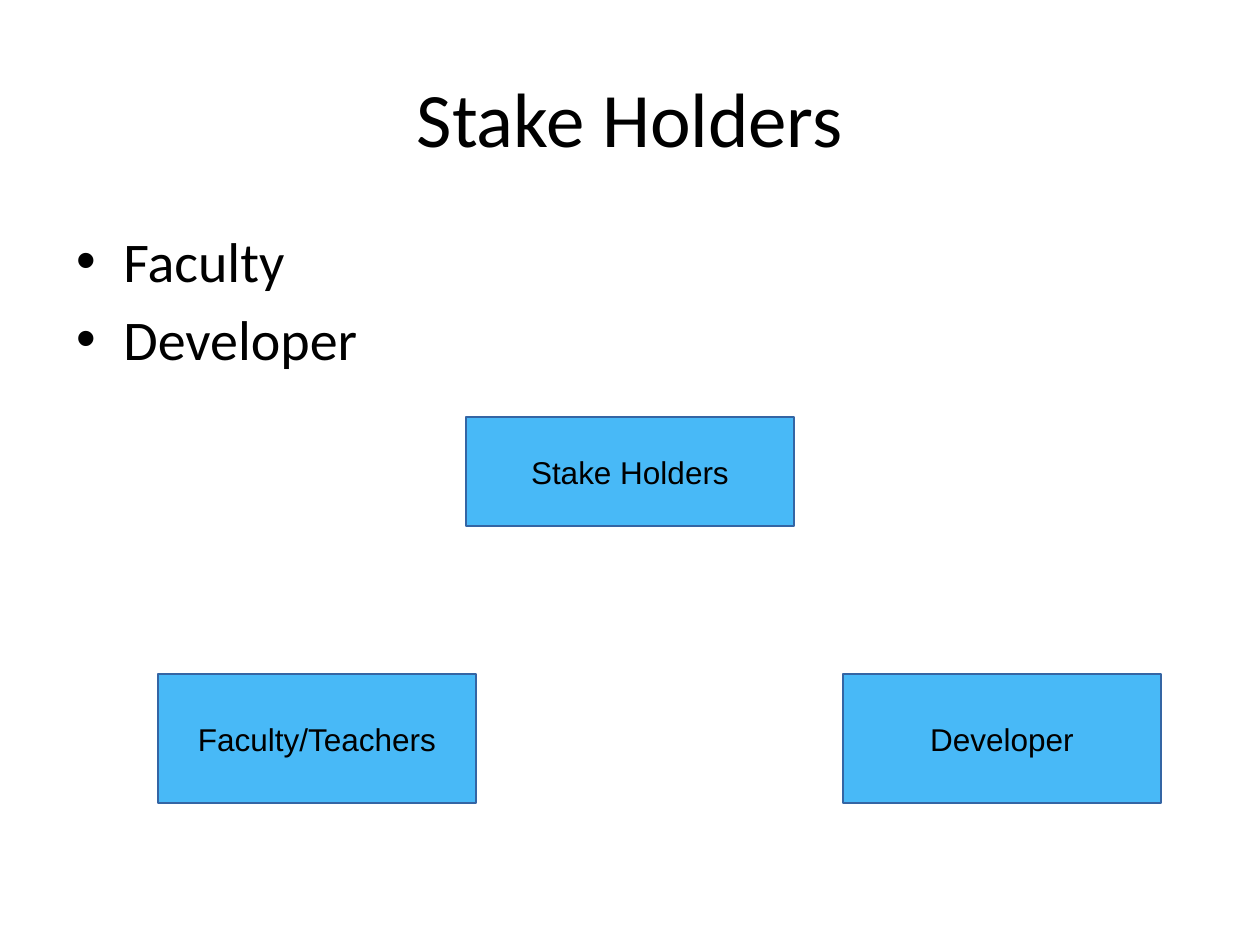
from lxml.etree import SubElement
from pptx import Presentation
from pptx.dml.color import RGBColor
from pptx.enum.shapes import MSO_SHAPE as Shape
from pptx.enum.text import MSO_ANCHOR as Anchor, PP_ALIGN as Align
from pptx.oxml.ns import qn
from pptx.util import Emu, Pt

SCALE = 914400 // 126
COLORS = {"text": "000000", "fill": "48B9F7", "line": "3465A4"}


def px(value):
    return Emu(round(value * 914400 / 126))


def color(name):
    return RGBColor.from_string(COLORS[name])


def write(para, text, size=18, font="Arial", align=Align.LEFT, before=0):
    para.alignment = align
    para.space_before = Pt(before)
    span = para.add_run()
    span.text = text
    span.font.size = Pt(size)
    span.font.name = font
    span.font.color.rgb = color("text")


def add_bullet(para, indent, hanging):
    props = para._p.get_or_add_pPr()
    props.set("marL", str(px(indent)))
    props.set("indent", str(-px(hanging)))
    SubElement(props, qn("a:buFont")).set("typeface", "Arial")
    SubElement(props, qn("a:buChar")).set("char", "•")


class SlideBuilder:
    heading_font = "Calibri"

    def __init__(self, page):
        self.page = page

    def text_frame(self, left, top, width, height, anchor):
        box = self.page.shapes.add_textbox(px(left), px(top), px(width), px(height))
        frame = box.text_frame
        frame.word_wrap = True
        frame.vertical_anchor = anchor
        return frame

    def title(self, text, *place):
        frame = self.text_frame(*place, Anchor.MIDDLE)
        write(frame.paragraphs[0], text, size=44, font=self.heading_font, align=Align.CENTER)

    def bullets(self, items, *place):
        frame = self.text_frame(*place, Anchor.TOP)
        for index, item in enumerate(items):
            para = frame.add_paragraph() if index else frame.paragraphs[0]
            write(para, item, size=32, font=self.heading_font, before=6.4)
            add_bullet(para, 48, 47)

    def block(self, text, left, top, width, height):
        box = self.page.shapes.add_shape(
            Shape.RECTANGLE, px(left), px(top), px(width), px(height))
        box.shadow.inherit = False
        box.fill.solid()
        box.fill.fore_color.rgb = color("fill")
        box.line.color.rgb = color("line")
        box.line.width = Pt(0.75)
        frame = box.text_frame
        frame.word_wrap = False
        frame.vertical_anchor = Anchor.MIDDLE
        write(frame.paragraphs[0], text, align=Align.CENTER)


deck = Presentation()
deck.slide_width, deck.slide_height = px(1260), px(945)
slide = SlideBuilder(deck.slides.add_slide(deck.slide_layouts[6]))

slide.title("Stake Holders", 63, 38, 1134, 157)
slide.bullets(["Faculty", "Developer"], 63, 220, 1134, 624)
slide.block("Stake Holders", 466, 417, 328, 109)
for name, left in [("Faculty/Teachers", 158), ("Developer", 843)]:
    slide.block(name, left, 674, 318, 129)

deck.save("out.pptx")
